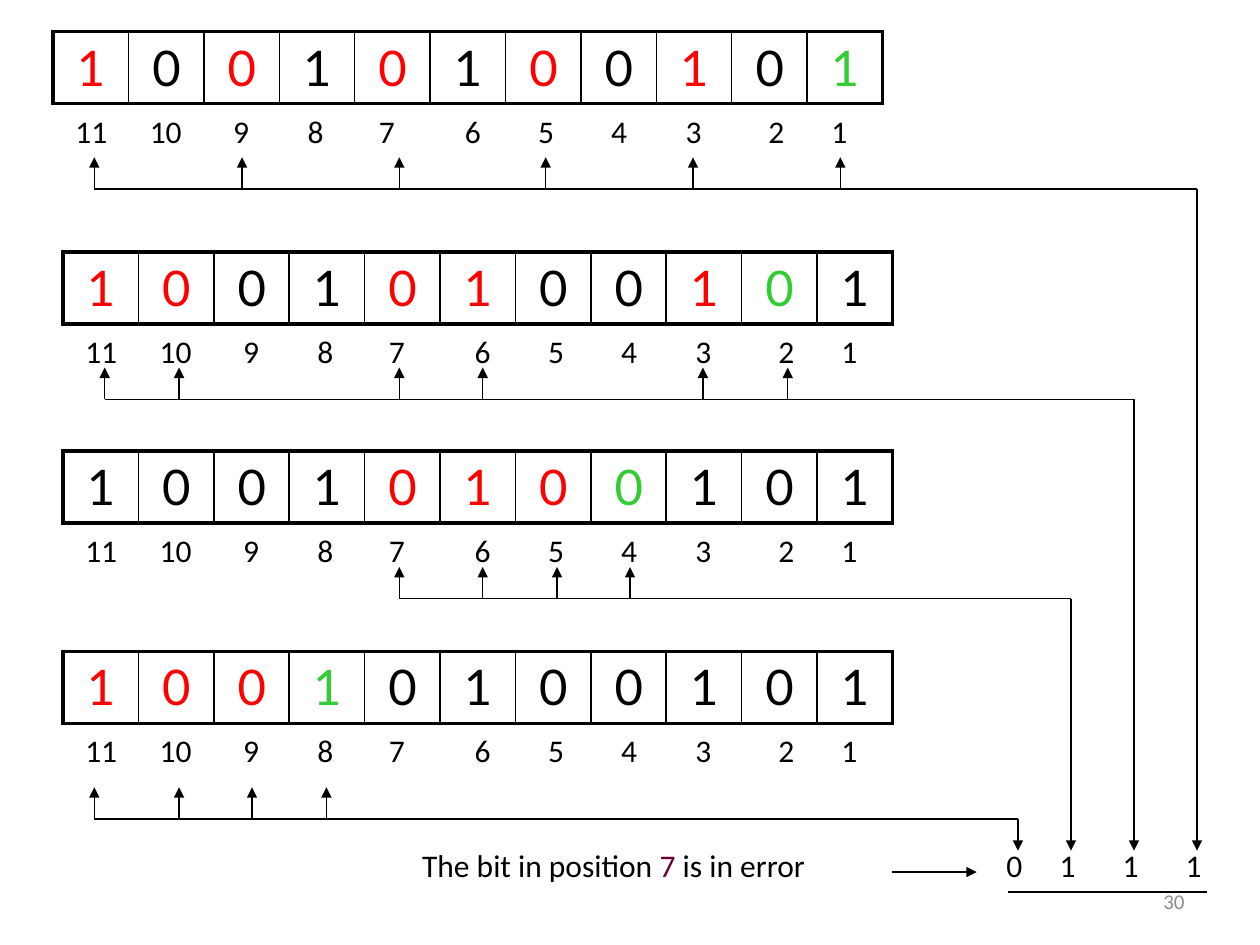
from pptx import Presentation
from pptx.dml.color import RGBColor as Rgb
from pptx.enum.shapes import MSO_CONNECTOR as Connector
from pptx.enum.text import MSO_ANCHOR as Anchor, MSO_AUTO_SIZE as AutoSize, PP_ALIGN as Align
from pptx.oxml.ns import qn
from pptx.util import Cm, Pt
from lxml.etree import SubElement

COLORS = {"black": "000000", "red": "FF0000", "green": "33CC33",
          "plum": "660033", "gray": "8C8C8C"}
BITS = "10010100101"
CELL_WIDTH, CELL_HEIGHT = 1.52, 1.45
ANSWER_TOP = 16.94
ARROW_END = 17.15
TICK = 0.64

# Position number and the offset of its label from the left of the table
LABEL_OFFSETS = {11: 0.2, 10: 1.7, 9: 3.38, 8: 4.88, 7: 6.32, 6: 8.05,
                 5: 9.53, 4: 11, 3: 12.5, 2: 14.17, 1: 15.44}

# Checked positions are red, the parity bit is green
CHECKS = [
    {"left": 1.07, "top": 0.64, "red": [11, 9, 7, 5, 3], "green": 1,
     "bus": 3.81, "ticks": [1.9, 4.88, 8.05, 11, 13.97, 16.94], "end": 24.13},
    {"left": 1.27, "top": 5.08, "red": [11, 10, 7, 6, 3], "green": 2,
     "bus": 8.05, "ticks": [2.11, 3.61, 8.05, 9.73, 14.17, 15.88], "end": 22.86},
    {"left": 1.27, "top": 9.09, "red": [7, 6, 5], "green": 4,
     "bus": 12.07, "ticks": [8.05, 9.73, 11.23, 12.7], "end": 21.59},
    {"left": 1.27, "top": 13.13, "red": [11, 10, 9], "green": 8,
     "bus": 16.51, "ticks": [1.9, 3.61, 5.08, 6.58], "end": 20.52},
]

deck = Presentation()
deck.slide_width, deck.slide_height = Cm(25.4), Cm(19.05)
page = deck.slides.add_slide(deck.slide_layouts[6])


def add_text(left, top, width, parts, size=18, wrap=True):
    box = page.shapes.add_textbox(Cm(left), Cm(top), Cm(width), Cm(1.02))
    frame = box.text_frame
    frame.word_wrap = wrap
    frame.auto_size = AutoSize.SHAPE_TO_FIT_TEXT
    for text, color in parts:
        span = frame.paragraphs[0].add_run()
        span.text = text
        span.font.name = "Calibri"
        span.font.size = Pt(size)
        span.font.color.rgb = Rgb.from_string(COLORS[color])
    return frame


def add_line(x1, y1, x2, y2, arrow=True, weight=0.75):
    line = page.shapes.add_connector(Connector.STRAIGHT, Cm(x1), Cm(y1), Cm(x2), Cm(y2))
    line.line.width = Pt(weight)
    line.line.color.rgb = Rgb.from_string(COLORS["black"])
    if arrow:
        SubElement(line.line._get_or_add_ln(), qn("a:tailEnd"), type="triangle")
    SubElement(line._element.spPr, qn("a:effectLst"))


for check in CHECKS:
    # Code word, one bit to a cell
    count = len(BITS)
    table = page.shapes.add_table(1, count, Cm(check["left"]), Cm(check["top"]),
                                  Cm(CELL_WIDTH * count), Cm(CELL_HEIGHT)).table
    table.first_row = table.horz_banding = False
    table.rows[0].height = Cm(CELL_HEIGHT)
    for index, bit in enumerate(BITS):
        position = count - index
        table.columns[index].width = Cm(CELL_WIDTH)
        cell = table.cell(0, index)
        cell.margin_left = Cm(0.48)
        cell.margin_right = Cm(0.25)
        cell.text_frame.text = bit
        font = cell.text_frame.paragraphs[0].runs[0].font
        font.name, font.size = "Lato", Pt(28)
        color = ("green" if position == check["green"]
                 else "red" if position in check["red"] else "black")
        font.color.rgb = Rgb.from_string(COLORS[color])

        # Thick outer frame, thin inner dividers
        weights = {"a:lnL": 2.25 if index == 0 else 1,
                   "a:lnR": 2.25 if position == 1 else 1,
                   "a:lnT": 2.25, "a:lnB": 2.25}
        for side, weight in weights.items():
            border = SubElement(cell._tc.get_or_add_tcPr(), qn(side), w=str(Pt(weight)))
            fill = SubElement(border, qn("a:solidFill"))
            SubElement(fill, qn("a:srgbClr"), val=COLORS["black"])
        cell.fill.background()

    # Position numbers under the word
    for position, offset in LABEL_OFFSETS.items():
        add_text(check["left"] + offset, check["top"] + 1.49,
                 1.22 if position > 9 else 0.86, [(str(position), "black")], wrap=False)

    # Arrows from the checked bits to the result
    bus, end = check["bus"], check["end"]
    add_line(check["ticks"][0], bus, end, bus, arrow=False)
    for tick in check["ticks"]:
        add_line(tick, bus, tick, bus - TICK)
    add_line(end, bus, end, ARROW_END)

# Check result and conclusion
for left, bit in zip([19.89, 20.96, 22.23, 23.5], "0111"):
    frame = add_text(left, ANSWER_TOP, 1.27, [(bit, "black")])
    frame.margin_left = Cm(0.4)
add_line(20.32, 17.98, 24.33, 17.98, arrow=False, weight=1)
add_line(17.98, 17.58, 19.69, 17.58)
add_text(8.26, ANSWER_TOP, 9.32, [("The bit in position ", "black"), ("7", "plum"),
                                  (" is in error", "black")])

# Slide number
number = add_text(18.21, 17.65, 5.92, [("30", "gray")], size=12)
number.auto_size = AutoSize.NONE
number.vertical_anchor = Anchor.MIDDLE
number.paragraphs[0].alignment = Align.RIGHT

deck.save("out.pptx")
